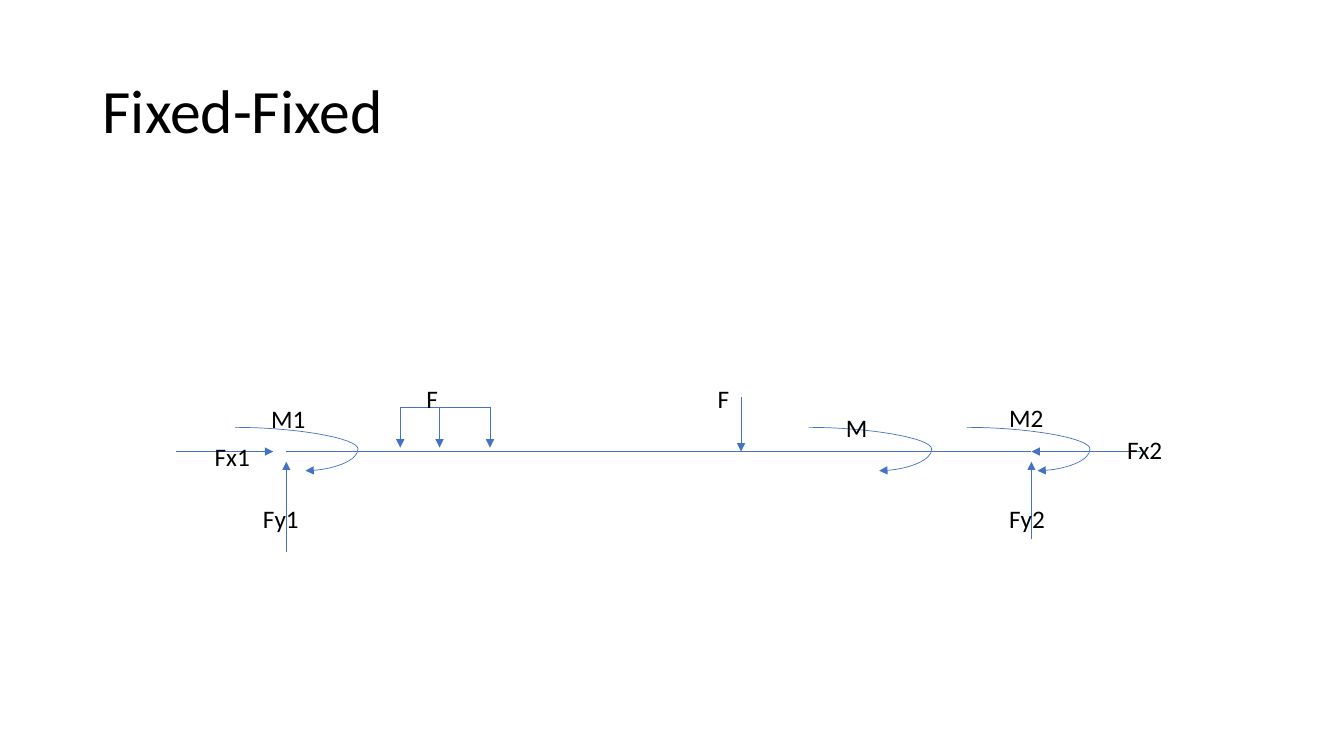
from lxml.etree import SubElement
from pptx import Presentation
from pptx.dml.color import RGBColor
from pptx.enum.shapes import MSO_CONNECTOR
from pptx.enum.text import MSO_ANCHOR, MSO_AUTO_SIZE
from pptx.oxml.ns import qn
from pptx.util import Inches, Pt

THEME = {
    "font": "Calibri",
    "text": RGBColor(0x00, 0x00, 0x00),
    "line": RGBColor(0x44, 0x72, 0xC4),
    "title_size": Pt(44),
    "label_size": Pt(18),
    "line_width": Pt(0.5),
}
PX = Inches(0.01)
SLIDE_SIZE = (1333, 750)

TITLE = ("Fixed-Fixed", 92, 40, 1150, 145)

# Beam axis and its two fixed ends
BEAM_Y, BEAM_LEFT, BEAM_RIGHT = 448, 284, 1023
REACTION_TIP_Y = 458
LOAD_TOP, LOAD_BOTTOM = 404, 444
LOAD_XS = (397, 436, 486)

PLAIN_LINES = [
    (BEAM_LEFT, BEAM_Y, BEAM_RIGHT, BEAM_Y),
    (LOAD_XS[0], LOAD_TOP, LOAD_XS[-1], LOAD_TOP),
]
FORCES = [
    (BEAM_LEFT, 548, BEAM_LEFT, REACTION_TIP_Y),
    (175, BEAM_Y, 271, BEAM_Y),
    (BEAM_RIGHT, 535, BEAM_RIGHT, REACTION_TIP_Y),
    (1132, BEAM_Y, BEAM_RIGHT, BEAM_Y),
    (735, 394, 735, BEAM_Y),
] + [(x, LOAD_TOP, x, LOAD_BOTTOM) for x in LOAD_XS]

MOMENT_XS = (233, 802, 959)
MOMENT_TOP, MOMENT_WIDTH, MOMENT_HEIGHT = 424, 70, 43
MOMENT_BULGE = 174500  # thousandths of a percent of the width

LABEL_HEIGHT = 40
LABELS = [  # text, left, top, width
    ("Fx1", 203, 433, 59),
    ("Fy1", 251, 494, 68),
    ("M", 829, 404, 61),
    ("F", 413, 375, 50),
    ("F", 702, 375, 70),
    ("Fy2", 991, 494, 58),
    ("Fx2", 1108, 426, 56),
    ("M1", 259, 395, 59),
    ("M2", 991, 394, 70),
]


def add_line(slide, ends, kind=MSO_CONNECTOR.STRAIGHT, arrow=False):
    line = slide.shapes.add_connector(kind, *(value * PX for value in ends))
    line.line.color.rgb = THEME["line"]
    line.line.width = THEME["line_width"]
    properties = line._element.spPr
    if arrow:
        SubElement(properties.find(qn("a:ln")), qn("a:tailEnd"), type="triangle")
    SubElement(properties, qn("a:effectLst"))
    return line


def add_moment(slide, left):
    ends = (left, MOMENT_TOP, left + MOMENT_WIDTH, MOMENT_TOP + MOMENT_HEIGHT)
    curve = add_line(slide, ends, MSO_CONNECTOR.CURVE, arrow=True)
    adjustments = curve._element.spPr.find(qn("a:prstGeom")).find(qn("a:avLst"))
    SubElement(adjustments, qn("a:gd"), name="adj1", fmla=f"val {MOMENT_BULGE}")


def add_text(slide, text, left, top, width, height, size):
    box = slide.shapes.add_textbox(*(value * PX for value in (left, top, width, height)))
    frame = box.text_frame
    frame.word_wrap = True
    paragraph = frame.paragraphs[0]
    run = paragraph.add_run()
    run.text = text
    run.font.name = THEME["font"]
    run.font.size = size
    run.font.color.rgb = THEME["text"]
    return frame


def main():
    presentation = Presentation()
    presentation.slide_width, presentation.slide_height = (v * PX for v in SLIDE_SIZE)
    slide = presentation.slides.add_slide(presentation.slide_layouts[6])

    title = add_text(slide, *TITLE, THEME["title_size"])
    title.vertical_anchor = MSO_ANCHOR.MIDDLE
    title.paragraphs[0].line_spacing = 0.9

    for ends in PLAIN_LINES:
        add_line(slide, ends)
    for ends in FORCES:
        add_line(slide, ends, arrow=True)
    for left in MOMENT_XS:
        add_moment(slide, left)
    for text, left, top, width in LABELS:
        label = add_text(slide, text, left, top, width, LABEL_HEIGHT, THEME["label_size"])
        label.auto_size = MSO_AUTO_SIZE.SHAPE_TO_FIT_TEXT

    presentation.save("out.pptx")


if __name__ == "__main__":
    main()
